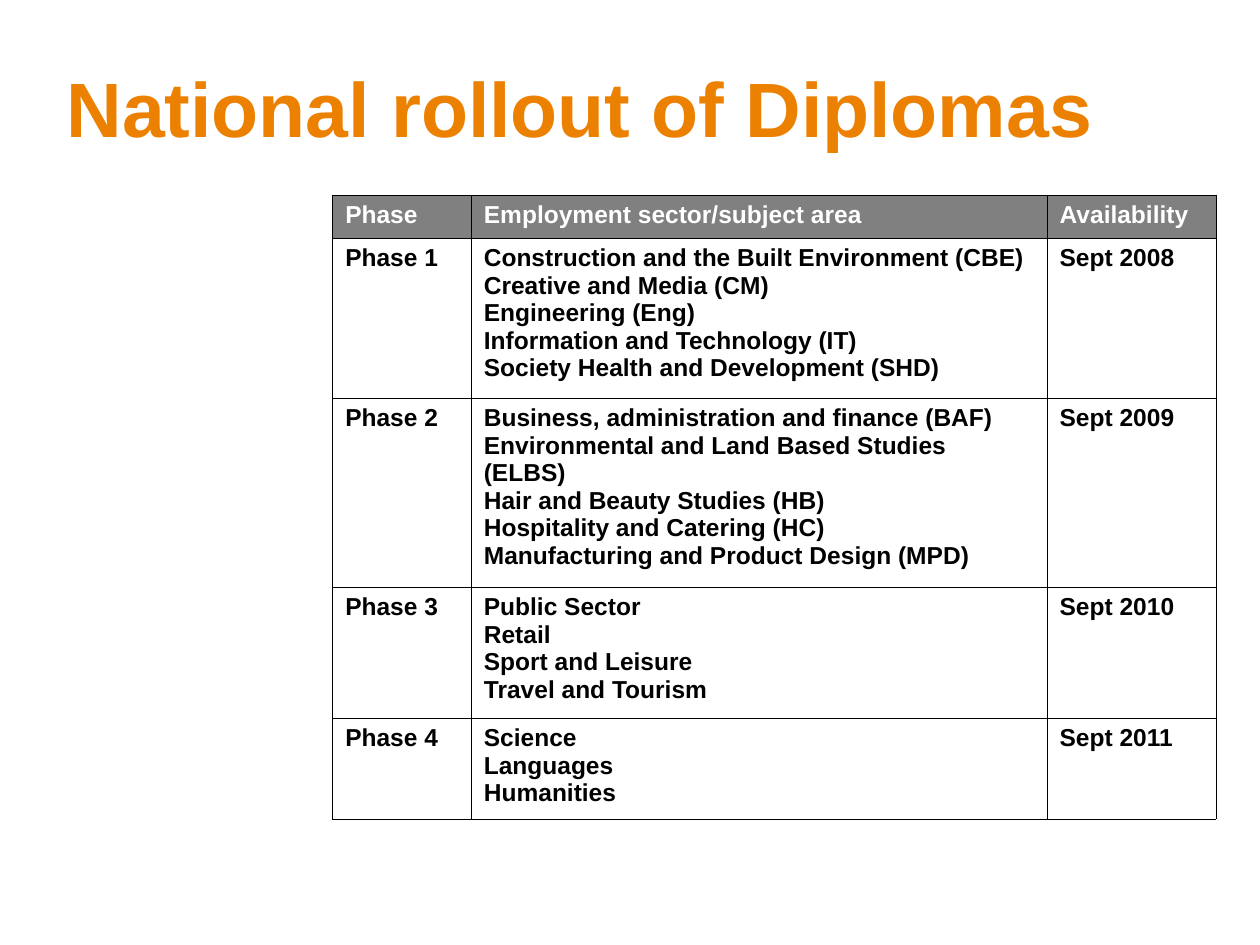
"""Build the slide on the national rollout of Diplomas."""
from lxml.etree import SubElement
from pptx import Presentation
from pptx.dml.color import RGBColor
from pptx.oxml.ns import qn
from pptx.util import Inches, Pt

ORANGE = RGBColor(0xEC, 0x80, 0x00)
GREY = RGBColor(0x80, 0x80, 0x80)
WHITE = RGBColor(0xFF, 0xFF, 0xFF)
BLACK = RGBColor(0x00, 0x00, 0x00)
FONT = "Arial"

TITLE = "National rollout of Diplomas"
HEAD = ("Phase", ["Employment sector/subject area"], "Availability")
PHASES = [
    ("Phase 1", [
        "Construction and the Built Environment (CBE)",
        "Creative and Media (CM)",
        "Engineering (Eng)",
        "Information and Technology (IT)",
        "Society Health and Development (SHD)",
    ], "Sept 2008"),
    ("Phase 2", [
        "Business, administration and finance (BAF)",
        "Environmental and Land Based Studies (ELBS)",
        "Hair and Beauty Studies (HB)",
        "Hospitality and Catering (HC)",
        "Manufacturing and Product Design (MPD)",
    ], "Sept 2009"),
    ("Phase 3", [
        "Public Sector",
        "Retail",
        "Sport and Leisure",
        "Travel and Tourism",
    ], "Sept 2010"),
    ("Phase 4", ["Science", "Languages", "Humanities"], "Sept 2011"),
]
WIDTHS = (1.1, 4.57, 1.34)
HEIGHTS = (0.34, 1.27, 1.5, 1.04, 0.8)


def write(frame, lines, size, color):
    for i, line in enumerate(lines):
        para = frame.add_paragraph() if i else frame.paragraphs[0]
        run = para.add_run()
        run.text = line
        font = run.font
        font.name, font.size, font.bold = FONT, Pt(size), True
        font.color.rgb = color


def border(cell):
    props = cell._tc.get_or_add_tcPr()
    for i, side in enumerate(("lnL", "lnR", "lnT", "lnB")):
        line = props.makeelement(qn(f"a:{side}"), {"w": str(Pt(0.45))})
        fill = SubElement(line, qn("a:solidFill"))
        SubElement(fill, qn("a:srgbClr"), val=str(BLACK))
        props.insert(i, line)


def add_title(slide):
    box = slide.shapes.add_textbox(
        Inches(0.43), Inches(0.36), Inches(9.14), Inches(0.84))
    frame = box.text_frame
    frame.word_wrap = True
    frame.margin_top, frame.margin_bottom = Inches(0.12), Inches(0.02)
    write(frame, [TITLE], 44, ORANGE)


def add_grid(slide):
    rows = [HEAD] + PHASES
    grid = slide.shapes.add_table(
        len(rows), len(WIDTHS), Inches(2.64), Inches(1.55),
        Inches(sum(WIDTHS)), Inches(sum(HEIGHTS))).table
    grid.horz_banding = False
    for col, width in zip(grid.columns, WIDTHS):
        col.width = Inches(width)
    for r, (phase, areas, date) in enumerate(rows):
        grid.rows[r].height = Inches(HEIGHTS[r])
        for c, lines in enumerate(([phase], areas, [date])):
            cell = grid.cell(r, c)
            cell.fill.solid()
            cell.fill.fore_color.rgb = WHITE if r else GREY
            border(cell)
            write(cell.text_frame, lines, 14, BLACK if r else WHITE)


def main():
    deck = Presentation()
    deck.slide_width, deck.slide_height = Inches(10), Inches(7.5)
    slide = deck.slides.add_slide(deck.slide_layouts[6])
    add_title(slide)
    add_grid(slide)
    deck.save("out.pptx")


if __name__ == "__main__":
    main()
